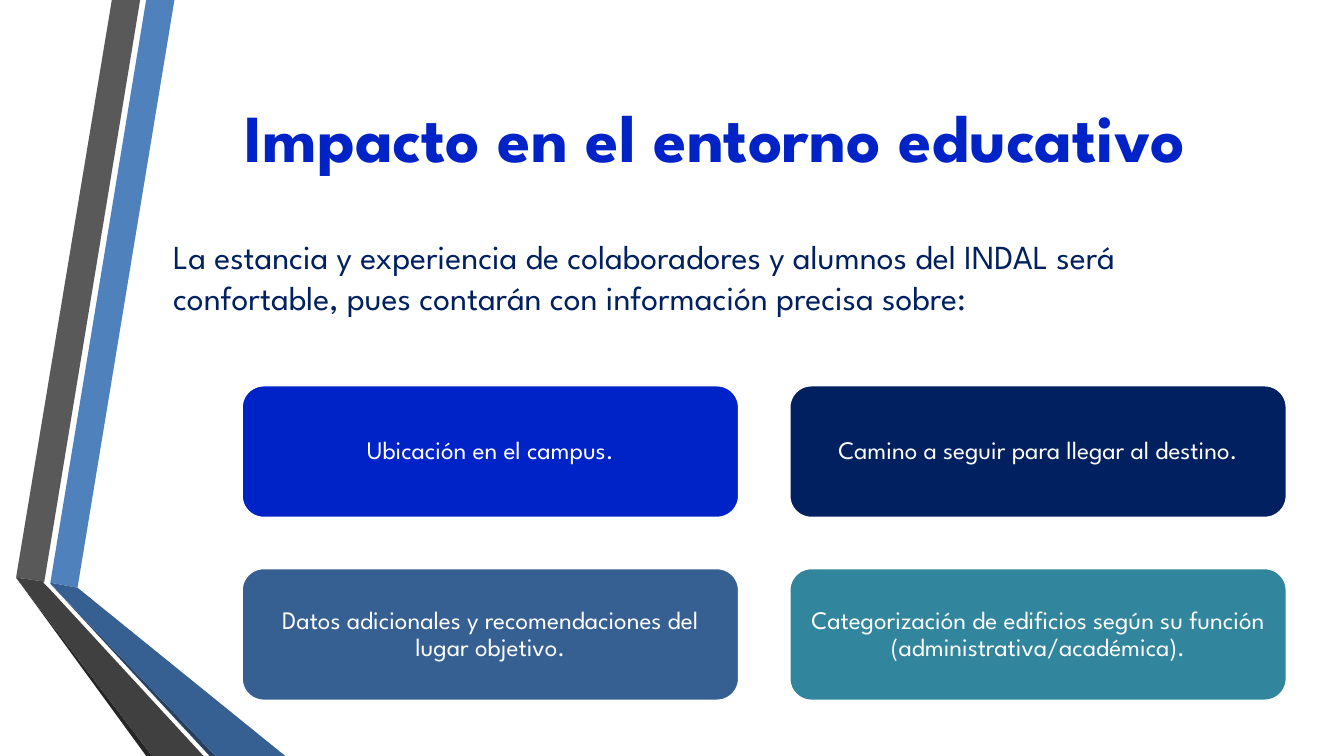
from pptx import Presentation
from pptx.dml.color import RGBColor as Rgb
from pptx.enum.shapes import MSO_SHAPE as Kind
from pptx.enum.text import MSO_ANCHOR as Anchor, PP_ALIGN as Align
from pptx.util import Pt

THEME = {
    "font": "League Spartan",
    "title": 48, "lead": 24, "card": 18,
    "blue": "0023C8", "navy": "002060", "steel": "376092", "teal": "31859C",
    "sky": "4F81BD", "shade": "254061", "white": "FFFFFF",
    "gray": "595959", "dark": "404040", "black": "262626",
}

TITLE = "Impacto en el entorno educativo"
LEAD = ("La estancia y experiencia de colaboradores y alumnos del INDAL será "
        "confortable, pues contarán con información precisa sobre:")
CARDS = [
    ("Ubicación en el campus.", "blue"),
    ("Camino a seguir para llegar al destino.", "navy"),
    ("Datos adicionales y recomendaciones del lugar objetivo.", "steel"),
    ("Categorización de edificios según su función "
     "(administrativa/académica).", "teal"),
]
BANDS = [
    ("sky", [(36, 416.2), (55.4, 419.8), (124.6, 0), (104.4, 0)]),
    ("gray", [(100.1, 0), (79.9, 0), (11.5, 412.6), (31.7, 415.4)]),
    ("black", [(11.5, 412.6), (104.4, 540), (108.7, 540)]),
    ("shade", [(36, 416.9), (149.8, 540), (154.1, 540)]),
    ("steel", [(36, 416.9), (154.1, 540), (203.8, 540), (55.4, 419.8),
               (36, 416.2)]),
    ("dark", [(145.4, 540), (34.6, 419.8), (31, 416.2), (31.7, 415.4),
              (11.5, 412.6), (108.7, 540)]),
]

LEFT, WIDE = 116.6, 789.1
GRID_X, GRID_Y = 172.6, 275.2
STEP_X, STEP_Y = 391.2, 130.6
CARD_W, CARD_H = 355.4, 94.8
INSET = 9.7


def color(name):
    return Rgb.from_string(THEME[name])


def paint(shape, name):
    shape.shadow.inherit = False
    shape.fill.solid()
    shape.fill.fore_color.rgb = color(name)
    shape.line.fill.background()


def write(shape, text, size, ink, align, bold=False):
    frame = shape.text_frame
    frame.word_wrap = True
    frame.vertical_anchor = Anchor.MIDDLE
    para = frame.paragraphs[0]
    para.text = text
    para.alignment = align
    font = para.font
    font.name, font.size, font.bold = THEME["font"], Pt(THEME[size]), bold
    font.color.rgb = color(ink)
    return para


def add_band(shapes, name, points):
    dots = [(Pt(x), Pt(y)) for x, y in points]
    pen = shapes.build_freeform(*dots[0])
    pen.add_line_segments(dots[1:], close=True)
    paint(pen.convert_to_shape(), name)


def add_text(shapes, top, high, *style):
    box = shapes.add_textbox(Pt(LEFT), Pt(top), Pt(WIDE), Pt(high))
    return write(box, *style)


def add_card(shapes, index, text, fill):
    row, col = divmod(index, 2)
    card = shapes.add_shape(
        Kind.ROUNDED_RECTANGLE, Pt(GRID_X + col * STEP_X),
        Pt(GRID_Y + row * STEP_Y), Pt(CARD_W), Pt(CARD_H))
    paint(card, fill)
    card.line.color.rgb = color("white")
    card.line.width = Pt(1.75)
    frame = card.text_frame
    frame.margin_left = frame.margin_right = Pt(INSET)
    frame.margin_top = frame.margin_bottom = Pt(INSET)
    write(card, text, "card", "white", Align.CENTER).line_spacing = 0.9


def main():
    deck = Presentation()
    deck.slide_width, deck.slide_height = Pt(960), Pt(540)
    shapes = deck.slides.add_slide(deck.slide_layouts[6]).shapes
    for name, points in BANDS:
        add_band(shapes, name, points)
    add_text(shapes, 54, 86.4, TITLE, "title", "blue", Align.CENTER, True)
    lead = add_text(shapes, 159.8, 75.6, LEAD, "lead", "navy", Align.LEFT)
    lead.space_before, lead.space_after = Pt(4.8), Pt(6)
    for index, (text, fill) in enumerate(CARDS):
        add_card(shapes, index, text, fill)
    deck.save("out.pptx")


if __name__ == "__main__":
    main()
